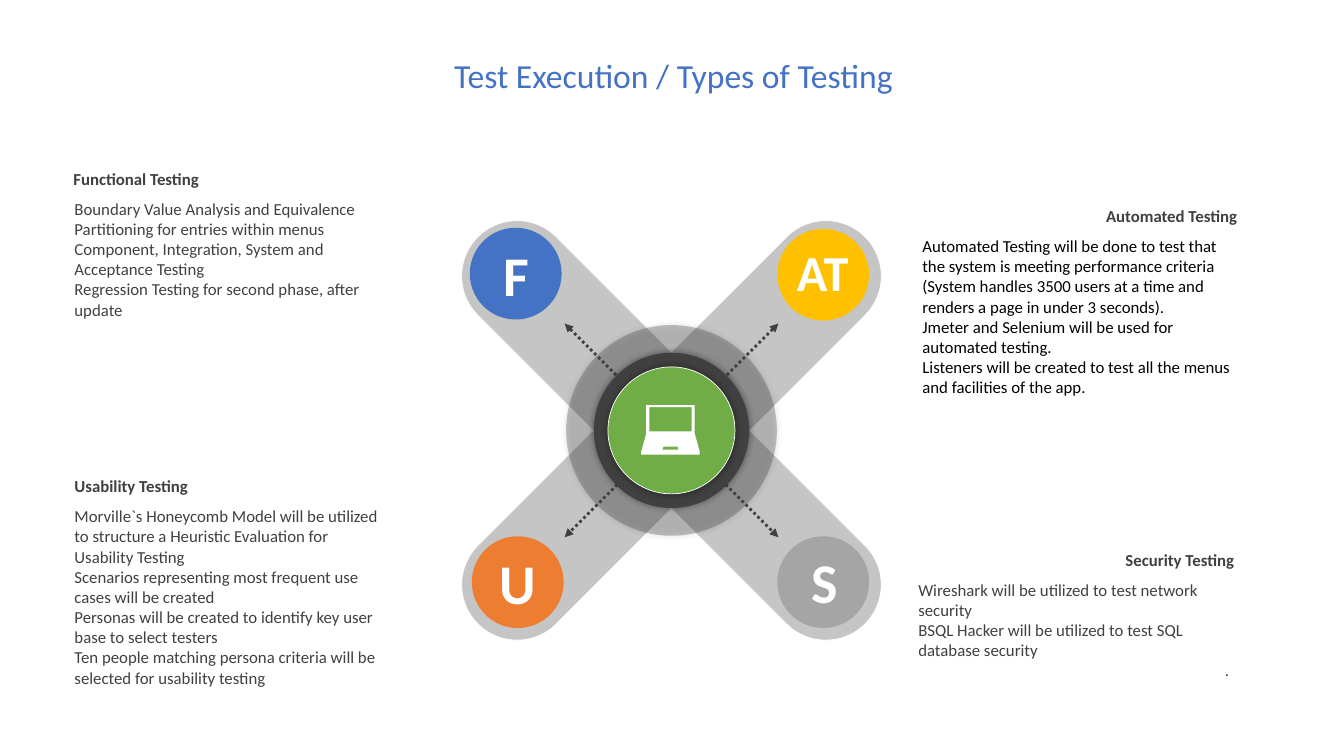
from dataclasses import dataclass

from lxml import etree
from pptx import Presentation
from pptx.dml.color import RGBColor
from pptx.enum.dml import MSO_LINE
from pptx.enum.shapes import MSO_CONNECTOR, MSO_SHAPE
from pptx.enum.text import MSO_ANCHOR, MSO_AUTO_SIZE, PP_ALIGN
from pptx.oxml.ns import qn
from pptx.util import Inches, Pt

OVAL = MSO_SHAPE.OVAL
ROUNDED = MSO_SHAPE.ROUNDED_RECTANGLE
STRAIGHT = MSO_CONNECTOR.STRAIGHT
DOTTED = MSO_LINE.ROUND_DOT
LEFT, CENTER, RIGHT = PP_ALIGN.LEFT, PP_ALIGN.CENTER, PP_ALIGN.RIGHT
TOP, MIDDLE = MSO_ANCHOR.TOP, MSO_ANCHOR.MIDDLE
GROW = MSO_AUTO_SIZE.SHAPE_TO_FIT_TEXT


@dataclass(frozen=True)
class Theme:
    """Colours, font and type sizes of the slide."""

    font: str = "Calibri"
    dark: str = "404040"
    black: str = "000000"
    white: str = "FFFFFF"
    blue: str = "4472C4"
    yellow: str = "FFC000"
    orange: str = "ED7D31"
    gray: str = "A5A5A5"
    green: str = "70AD47"
    title_size: int = 24
    body_size: int = 12
    letter_size: int = 40
    letters_size: int = 36


THEME = Theme()
HUB_X, HUB_Y = 6.66, 4.27
HEADING_HEIGHT = 0.3
BADGE_SIZE = 0.91
ARROW_REACH = 1.06

CARDS = [
    ("Functional Testing", (0.63, 1.62), LEFT, (0.64, 3.36, 1.31), THEME.dark, [
        "Boundary Value Analysis and Equivalence Partitioning for entries within menus",
        "Component, Integration, System and Acceptance Testing",
        "Regression Testing for second phase, after update",
    ]),
    ("Usability Testing", (0.64, 4.67), LEFT, (0.64, 3.29, 1.92), THEME.dark, [
        "Morville`s Honeycomb Model will be utilized to structure a Heuristic "
        "Evaluation for Usability Testing",
        "Scenarios representing most frequent use cases will be created",
        "Personas will be created to identify key user base to select testers",
        "Ten people matching persona criteria will be selected for usability testing",
    ]),
    ("Security Testing", (9.01, 5.4), RIGHT, (9.01, 3.36, 1.11), THEME.dark, [
        "Wireshark will be utilized to test network security",
        "BSQL Hacker will be utilized to test SQL database security",
        ".",
    ]),
    ("Automated Testing", (9.04, 1.99), RIGHT, (9.05, 3.29, 1.92), THEME.black, [
        "Automated Testing will be done to test that the system is meeting "
        "performance criteria (System handles 3500 users at a time and renders "
        "a page in under 3 seconds).",
        "Jmeter and Selenium will be used for automated testing.",
        "Listeners will be created to test all the menus and facilities of the app.",
    ]),
]

BADGES = [
    ("F", (4.66, 2.26), (4.67, 2.34, 0.77), THEME.blue, THEME.letter_size),
    ("AT", (7.71, 2.27), (7.71, 2.34, 0.71), THEME.yellow, THEME.letters_size),
    ("U", (4.68, 5.32), (4.69, 5.39, 0.77), THEME.orange, THEME.letter_size),
    ("S", (7.71, 5.32), (7.73, 5.38, 0.77), THEME.gray, THEME.letter_size),
]

LAPTOP_OUTLINES = [
    [(22, 41), (21, 44), (37, 44), (36, 41)],
    [(8, 2), (8, 26), (50, 26), (50, 2)],
    [(5, 0), (53, 0), (53, 28), (58, 46), (58, 49), (0, 49), (0, 46), (5, 28)],
]


def color(value):
    """Turn a hex value into a colour."""
    return RGBColor.from_string(value)


def add_text(slide, lines, box, size, tint, bold=False, align=LEFT, anchor=TOP):
    """Add a wrapped text box with one paragraph per line."""
    frame = slide.shapes.add_textbox(*map(Inches, box)).text_frame
    frame.word_wrap = True
    frame.vertical_anchor = anchor
    frame.text = "\n".join(lines)
    for paragraph in frame.paragraphs:
        paragraph.alignment = align
        for run in paragraph.runs:
            run.font.name = THEME.font
            run.font.size = Pt(size)
            run.font.bold = bold
            run.font.color.rgb = color(tint)
    return frame


def add_filled(slide, kind, box, fill, alpha=None, outlined=False, shadow=False):
    """Add a filled preset shape with optional transparency, outline and shadow."""
    shape = slide.shapes.add_shape(kind, *map(Inches, box))
    paint(shape, fill)
    if alpha:
        tint = shape.fill._xPr.find(qn("a:solidFill"))[0]
        etree.SubElement(tint, qn("a:alpha"), val=str(alpha * 1000))
    if outlined:
        shape.line.color.rgb = color(THEME.white)
        shape.line.width = Pt(0.5)
    if shadow:
        effects = shape._element.spPr.find(qn("a:effectLst"))
        outer = etree.SubElement(effects, qn("a:outerShdw"), blurRad=str(Pt(5)),
                                 dist="0", dir="0", algn="ctr", rotWithShape="0")
        tint = etree.SubElement(outer, qn("a:srgbClr"), val=THEME.black)
        etree.SubElement(tint, qn("a:alpha"), val="40000")
    return shape


def paint(shape, fill):
    """Give a shape a flat fill without line or shadow."""
    shape.shadow.inherit = False
    shape.fill.solid()
    shape.fill.fore_color.rgb = color(fill)
    shape.line.fill.background()


def add_arm(slide, rotation):
    """Add a translucent rounded arm turned about the hub."""
    width, height = 1.1, 5.43
    box = (HUB_X - width / 2, HUB_Y - height / 2, width, height)
    arm = add_filled(slide, ROUNDED, box, THEME.dark, alpha=30, outlined=True)
    arm.adjustments[0] = 0.5
    arm.rotation = rotation


def add_disc(slide, diameter, fill, **style):
    """Add a shadowed circle centred on the hub."""
    box = (HUB_X - diameter / 2, HUB_Y - diameter / 2, diameter, diameter)
    add_filled(slide, OVAL, box, fill, shadow=True, **style)


def add_arrow(slide, side):
    """Add a dotted double arrow across the hub, starting on the given side."""
    reach = side * ARROW_REACH
    ends = (HUB_X - reach, HUB_Y - ARROW_REACH, HUB_X + reach, HUB_Y + ARROW_REACH)
    arrow = slide.shapes.add_connector(STRAIGHT, *map(Inches, ends))
    arrow.line.color.rgb = color(THEME.dark)
    arrow.line.width = Pt(2)
    arrow.line.dash_style = DOTTED
    for end in ("a:headEnd", "a:tailEnd"):
        etree.SubElement(arrow.line._get_or_add_ln(), qn(end), type="triangle")
    etree.SubElement(arrow._element.spPr, qn("a:effectLst"))


def add_card(slide, heading, corner, align, body, tint, lines):
    """Add a heading with its description below."""
    left, top = corner
    body_left, width, height = body
    frame = add_text(slide, lines, (body_left, top + HEADING_HEIGHT, width, height),
                     THEME.body_size, tint)
    frame.auto_size = GROW
    last = frame.paragraphs[-1]
    if last.text == ".":
        last.alignment = RIGHT
        last._p.get_or_add_pPr().set("marR", str(Inches(0.08)))
    title = add_text(slide, [heading], (left, top, 3.33, HEADING_HEIGHT),
                     THEME.body_size, THEME.dark, bold=True, align=align)
    title.auto_size = GROW


def add_laptop(slide, left, top):
    """Add the laptop icon as one outline with cut-outs."""
    first, *others = LAPTOP_OUTLINES
    builder = slide.shapes.build_freeform(*first[0], scale=Inches(0.01))
    builder.add_line_segments(first[1:])
    for outline in others:
        builder.move_to(*outline[0])
        builder.add_line_segments(outline[1:])
    paint(builder.convert_to_shape(Inches(left), Inches(top)), THEME.white)


def main():
    """Build the slide and save it."""
    presentation = Presentation()
    presentation.slide_width = Inches(13.33)
    presentation.slide_height = Inches(7.5)
    slide = presentation.slides.add_slide(presentation.slide_layouts[6])

    title = add_text(slide, ["Test Execution / Types of Testing"], (0.35, 0.37, 12.66, 0.79),
                     THEME.title_size, THEME.blue, align=CENTER, anchor=MIDDLE)
    title.paragraphs[0].line_spacing = 0.9
    for rotation in (45, 315):
        add_arm(slide, rotation)
    add_disc(slide, 2.09, THEME.dark, alpha=30)
    for side in (1, -1):
        add_arrow(slide, side)
    add_disc(slide, 1.54, THEME.dark)
    add_disc(slide, 1.26, THEME.green, outlined=True)
    for card in CARDS:
        add_card(slide, *card)
    for _, corner, _, fill, _ in BADGES:
        add_filled(slide, OVAL, (*corner, BADGE_SIZE, BADGE_SIZE), fill)
    for letters, _, (left, top, height), _, size in BADGES:
        add_text(slide, [letters], (left, top, 0.9, height), size, THEME.white,
                 bold=True, align=CENTER).auto_size = GROW
    add_laptop(slide, 6.36, 4.02)
    presentation.save("out.pptx")


if __name__ == "__main__":
    main()
